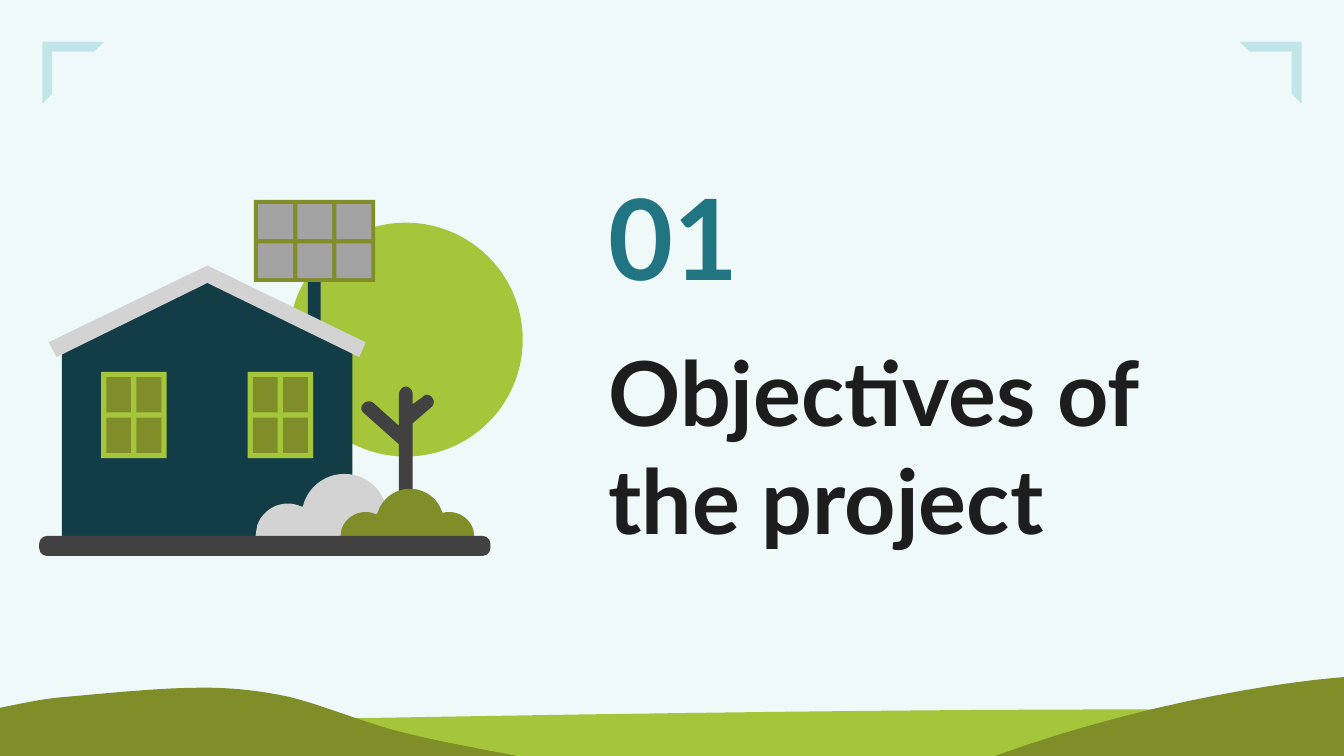
from math import sqrt
from pptx import Presentation
from pptx.dml.color import RGBColor
from pptx.enum import shapes, text
from pptx.util import Cm, Pt

SKY = RGBColor(0xF0, 0xF9, 0xFA)
PALE_BLUE = RGBColor(0xC1, 0xE6, 0xEA)
LIME = RGBColor(0xA5, 0xC6, 0x3B)
OLIVE = RGBColor(0x7F, 0x8E, 0x28)
NAVY = RGBColor(0x12, 0x3D, 0x46)
TEAL = RGBColor(0x21, 0x74, 0x82)
INK = RGBColor(0x1D, 0x1D, 0x1D)
CHARCOAL = RGBColor(0x42, 0x41, 0x41)
GREY = RGBColor(0xA3, 0xA3, 0xA3)
LIGHT_GREY = RGBColor(0xD3, 0xD3, 0xD3)

SHAPE = shapes.MSO_SHAPE
CURVE_STEPS = 16
BUSH_STEPS = 100

# All positions below are in centimetres; a box is (left, top, width, height).


def paint(sp, color):
    sp.shadow.inherit = False
    sp.fill.solid()
    sp.fill.fore_color.rgb = color
    sp.line.fill.background()
    return sp


def block(slide, x, y, w, h, color, kind=SHAPE.RECTANGLE):
    sp = slide.shapes.add_shape(kind, Cm(x), Cm(y), Cm(w), Cm(h))
    return paint(sp, color)


def bezier(p0, p1, p2, p3):
    for i in range(1, CURVE_STEPS + 1):
        t = i / CURVE_STEPS
        s = 1 - t
        yield tuple(s**3 * a + 3 * s * s * t * b + 3 * s * t * t * c + t**3 * d
                    for a, b, c, d in zip(p0, p1, p2, p3))


def outline(slide, box, color, *steps):
    """Closed outline: a step of 2 numbers is a corner, one of 6 is a curve."""
    points = [steps[0]]
    for step in steps[1:]:
        if len(step) == 2:
            points.append(step)
        else:
            points.extend(bezier(points[-1], step[:2], step[2:4], step[4:]))
    points = [(Cm(box[0] + x), Cm(box[1] + y)) for x, y in points]
    builder = slide.shapes.build_freeform(*points[0], scale=1.0)
    builder.add_line_segments(points[1:], close=True)
    return paint(builder.convert_to_shape(), color)


def add_hills(slide, box):
    w, h = box[2:]
    # Far meadow
    outline(slide, box, LIME, (21.54, 0.61), (13.31, 0.61, 0, 0.91, 0, 0.91),
            (3.12, h), (25.12, h), (25.12, 0.64),
            (24.13, 0.61, 22.91, 0.61, 21.54, 0.61))
    # Right hill
    outline(slide, box, OLIVE, (w, 0), (w, 1.57), (18.72, 1.52),
            (22.35, 0.2, w, 0, w, 0))
    # Left hill
    outline(slide, box, OLIVE, (3.86, 0.2), (4.45, 0.2, 5, 0.27, 5.49, 0.38),
            (6, 0.5, 6.95, 0.88, 7.52, 1.02), (8.2, 1.2, 9.1, 1.36, 9.78, h),
            (0, h), (0, 0.58), (0.4, 0.5, 0.75, 0.42, 1.17, 0.38),
            (2.1, 0.3, 3, 0.2, 3.86, 0.2))


def add_corners(slide, box):
    x, y, w, size = box
    for left, mirrored in ((x, False), (x + w - size, True)):
        sp = block(slide, left, y, size, size, PALE_BLUE, SHAPE.HALF_FRAME)
        sp.adjustments[0] = sp.adjustments[1] = 0.16
        if mirrored:
            sp._element.spPr.xfrm.set("flipH", "1")


def add_tree(slide, box):
    x, y, w, _ = box
    block(slide, x, y, w, w, LIME, SHAPE.OVAL)
    # Trunk with two rounded branches
    outline(slide, box, CHARCOAL, (2.21, 3.1), (2.13, 3.1, 2.08, 3.18, 2.08, 3.25),
            (2.08, 3.84), (1.6, 3.41), (1.55, 3.37, 1.46, 3.36, 1.4, 3.43),
            (1.35, 3.48, 1.36, 3.56, 1.43, 3.61), (2.08, 4.19), (2.08, 5.89),
            (2.34, 5.89), (2.34, 3.79), (2.7, 3.48),
            (2.75, 3.43, 2.75, 3.35, 2.7, 3.3),
            (2.65, 3.24, 2.57, 3.24, 2.52, 3.3), (2.34, 3.43), (2.34, 3.25),
            (2.34, 3.18, 2.29, 3.1, 2.21, 3.1))


def add_solar_panel(slide, box):
    x, y, w, h = box
    block(slide, x + 1.02, y + 1.32, 0.24, 1.2, NAVY)
    block(slide, x, y, w, h, OLIVE)
    for row in range(2):
        for col in range(3):
            block(slide, x + 0.08 + 0.74 * col, y + 0.08 + 0.74 * row,
                  0.66, 0.66, GREY)


def add_window(slide, box):
    x, y, w, h = box
    bar = 0.1
    block(slide, x, y, w, h, LIME)
    block(slide, x + bar, y + bar, w - 2 * bar, h - 2 * bar, OLIVE)
    block(slide, x + bar / 2, y + (h - bar) / 2, w - bar, bar, LIME)
    block(slide, x + (w - bar) / 2, y + bar / 2, bar, h - bar, LIME)


def add_bush(slide, box, color, circles, base):
    """Upper edge of overlapping circles (centre x, centre y, radius)."""
    left = min(cx - r for cx, _, r in circles)
    right = max(cx + r for cx, _, r in circles)
    edge = [(left, base)]
    for i in range(BUSH_STEPS + 1):
        x = left + (right - left) * i / BUSH_STEPS
        edge.append((x, min(cy - sqrt(max(r * r - (x - cx) ** 2, 0))
                            for cx, cy, r in circles if abs(x - cx) <= r + 0.001)))
    outline(slide, box, color, *edge, (right, base))


def add_house_scene(slide, box):
    x, y, w, h = box
    add_tree(slide, (x + 4.72, y + 0.43, 4.42, 5.89))
    add_solar_panel(slide, (x + 4.06, y, 2.29, 1.55))
    # Walls and windows
    outline(slide, box, NAVY, (3.18, 1.42), (0.43, 2.77), (0.43, 6.4),
            (5.92, 6.4), (5.92, 2.77))
    for left in (1.17, 3.94):
        add_window(slide, (x + left, y + 3.25, 1.24, 1.63))
    # Bushes
    add_bush(slide, box, LIGHT_GREY,
             [(4.7, 6.35, 0.61), (5.77, 5.99, 0.81), (6.65, 6.35, 0.63)], 6.5)
    add_bush(slide, box, OLIVE,
             [(6.17, 6.38, 0.48), (7.01, 6.1, 0.64), (7.75, 6.38, 0.48)], 6.5)
    # Roof
    outline(slide, box, LIGHT_GREY, (3.18, 1.24), (0.18, 2.69), (0.33, 2.97),
            (3.18, 1.57), (6.05, 2.97), (6.17, 2.69))
    # Ground
    sp = block(slide, x, y + h - 0.38, 8.53, 0.38, CHARCOAL, SHAPE.ROUNDED_RECTANGLE)
    sp.adjustments[0] = 0.4


def fill_placeholder(sp, box, words, size, color, anchor):
    sp.left, sp.top, sp.width, sp.height = map(Cm, box)
    tf = sp.text_frame
    tf.word_wrap = True
    tf.auto_size = text.MSO_AUTO_SIZE.NONE
    tf.vertical_anchor = anchor
    tf.margin_left = tf.margin_right = tf.margin_top = tf.margin_bottom = Cm(0.25)
    p = tf.paragraphs[0]
    p.text = words
    p.alignment = text.PP_ALIGN.LEFT
    p.space_before = Pt(0)
    p.font.name = "Lato"
    p.font.size = Pt(size)
    p.font.bold = True
    p.font.color.rgb = color


def add_heading(slide, box):
    x, y, w, h = box
    title, number = slide.placeholders
    fill_placeholder(title, (x, y + 2.84, w, h - 2.84), "Objectives of the project",
                     48, INK, text.MSO_ANCHOR.TOP)
    fill_placeholder(number, (x, y, 4.09, 2.34), "01",
                     60, TEAL, text.MSO_ANCHOR.MIDDLE)


def main():
    prs = Presentation()
    prs.slide_width, prs.slide_height = Cm(25.4), Cm(14.29)
    slide = prs.slides.add_slide(prs.slide_layouts[0])
    slide.background.fill.solid()
    slide.background.fill.fore_color.rgb = SKY

    add_hills(slide, (0, 12.8, 25.4, 1.49))
    add_corners(slide, (0.8, 0.79, 23.8, 1.17))
    add_heading(slide, (11.25, 3.28, 12.17, 7.36))
    add_house_scene(slide, (0.74, 3.78, 9.14, 6.73))
    prs.save("out.pptx")


if __name__ == "__main__":
    main()
